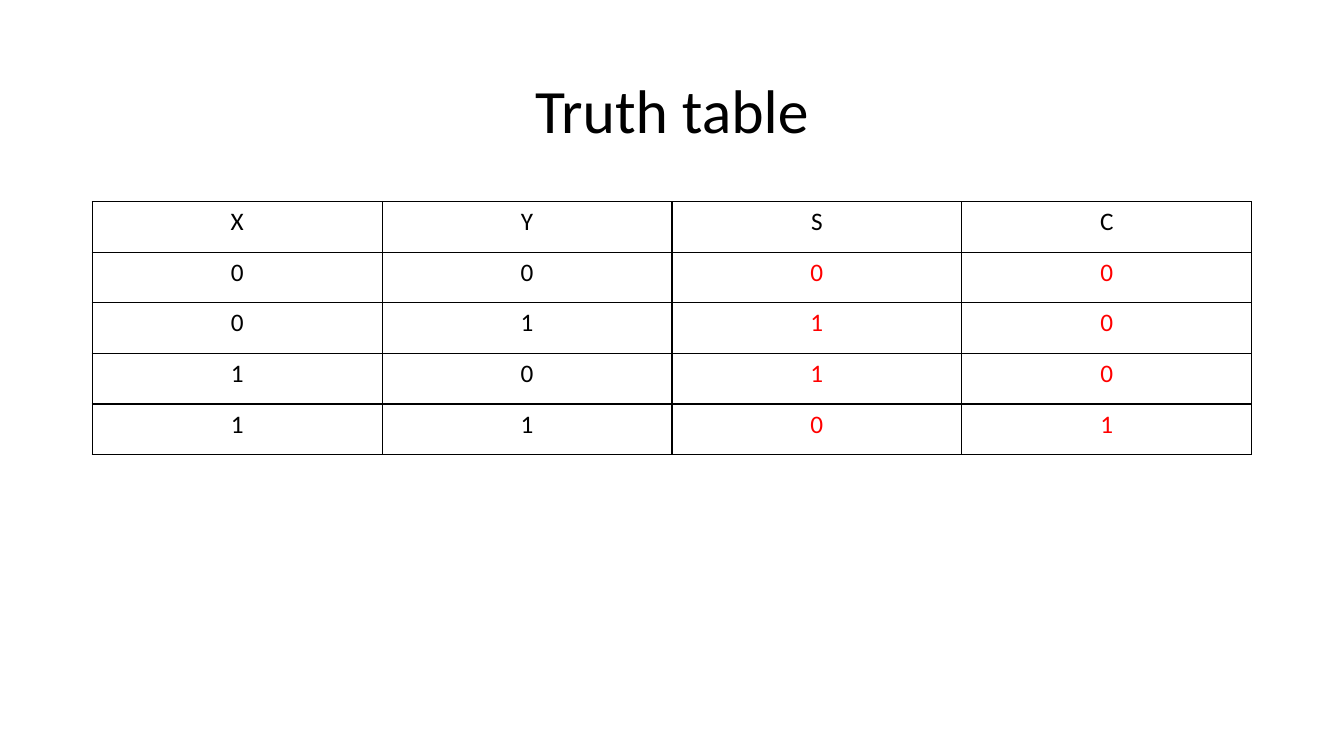
from dataclasses import dataclass
from itertools import product

from lxml.etree import SubElement
from pptx import Presentation
from pptx.dml.color import RGBColor
from pptx.enum.text import MSO_ANCHOR, PP_ALIGN
from pptx.oxml.ns import qn
from pptx.slide import Slide
from pptx.table import _Cell
from pptx.text.text import TextFrame
from pptx.util import Inches, Length, Pt

SLIDE_WIDTH, SLIDE_HEIGHT = Inches(13.33), Inches(7.5)
GRID_WIDTH = Inches(11.5)
GRID_LEFT = (SLIDE_WIDTH - GRID_WIDTH) // 2
GRID_ROW = SLIDE_HEIGHT // 15
FONT = "Calibri"
BLACK = RGBColor(0, 0, 0)
RED = RGBColor(255, 0, 0)


@dataclass(frozen=True)
class Entry:
    row: int
    column: int
    text: str
    color: RGBColor = BLACK


def grid_rows(count: float) -> Length:
    return Length(round(count * GRID_ROW))


def truth_entries() -> list[Entry]:
    entries = [Entry(0, column, name) for column, name in enumerate("XYSC")]
    for row, (x, y) in enumerate(product((0, 1), repeat=2), start=1):
        for column, bit in enumerate((x, y, x ^ y, x & y)):
            entries.append(Entry(row, column, str(bit), RED if column >= 2 else BLACK))
    return entries


def write_text(frame: TextFrame, text: str, size: float, color: RGBColor) -> None:
    frame.text = text
    para = frame.paragraphs[0]
    para.alignment = PP_ALIGN.CENTER
    font = para.runs[0].font
    font.name, font.size, font.color.rgb = FONT, Pt(size), color


def draw_borders(cell: _Cell, color: RGBColor, points: float) -> None:
    properties = cell._tc.get_or_add_tcPr()
    for side in ("lnL", "lnR", "lnT", "lnB"):
        line = SubElement(properties, qn(f"a:{side}"), w=str(Pt(points)))
        fill = SubElement(line, qn("a:solidFill"))
        SubElement(fill, qn("a:srgbClr"), val=str(color))


def add_title(slide: Slide, text: str) -> None:
    box = slide.shapes.add_textbox(
        GRID_LEFT, grid_rows(0.8), GRID_WIDTH, grid_rows(2.9))
    frame = box.text_frame
    frame.word_wrap = True
    frame.vertical_anchor = MSO_ANCHOR.MIDDLE
    write_text(frame, text, 44, BLACK)
    frame.paragraphs[0].line_spacing = 0.9


def add_truth_table(slide: Slide, entries: list[Entry]) -> None:
    rows = max(entry.row for entry in entries) + 1
    columns = max(entry.column for entry in entries) + 1
    table = slide.shapes.add_table(
        rows, columns, GRID_LEFT, grid_rows(4), GRID_WIDTH, grid_rows(5.02)).table
    table.first_row = table.horz_banding = False
    for entry in entries:
        cell = table.cell(entry.row, entry.column)
        write_text(cell.text_frame, entry.text, 18, entry.color)
        draw_borders(cell, BLACK, 1)
        cell.fill.background()


def main() -> None:
    deck = Presentation()
    deck.slide_width, deck.slide_height = SLIDE_WIDTH, SLIDE_HEIGHT
    slide = deck.slides.add_slide(deck.slide_layouts[6])

    # Heading
    add_title(slide, "Truth table")

    # Table
    add_truth_table(slide, truth_entries())

    deck.save("out.pptx")


if __name__ == "__main__":
    main()
